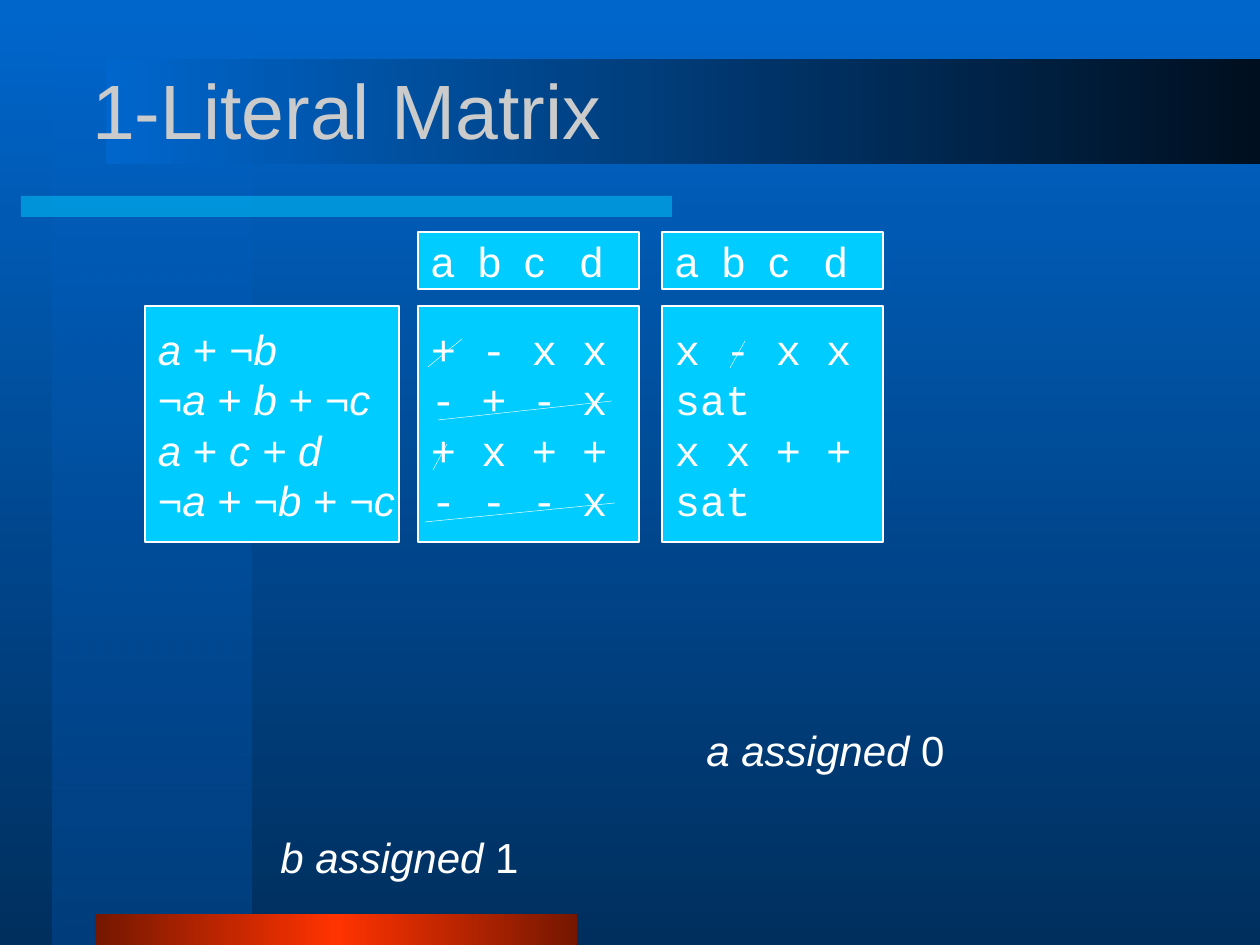
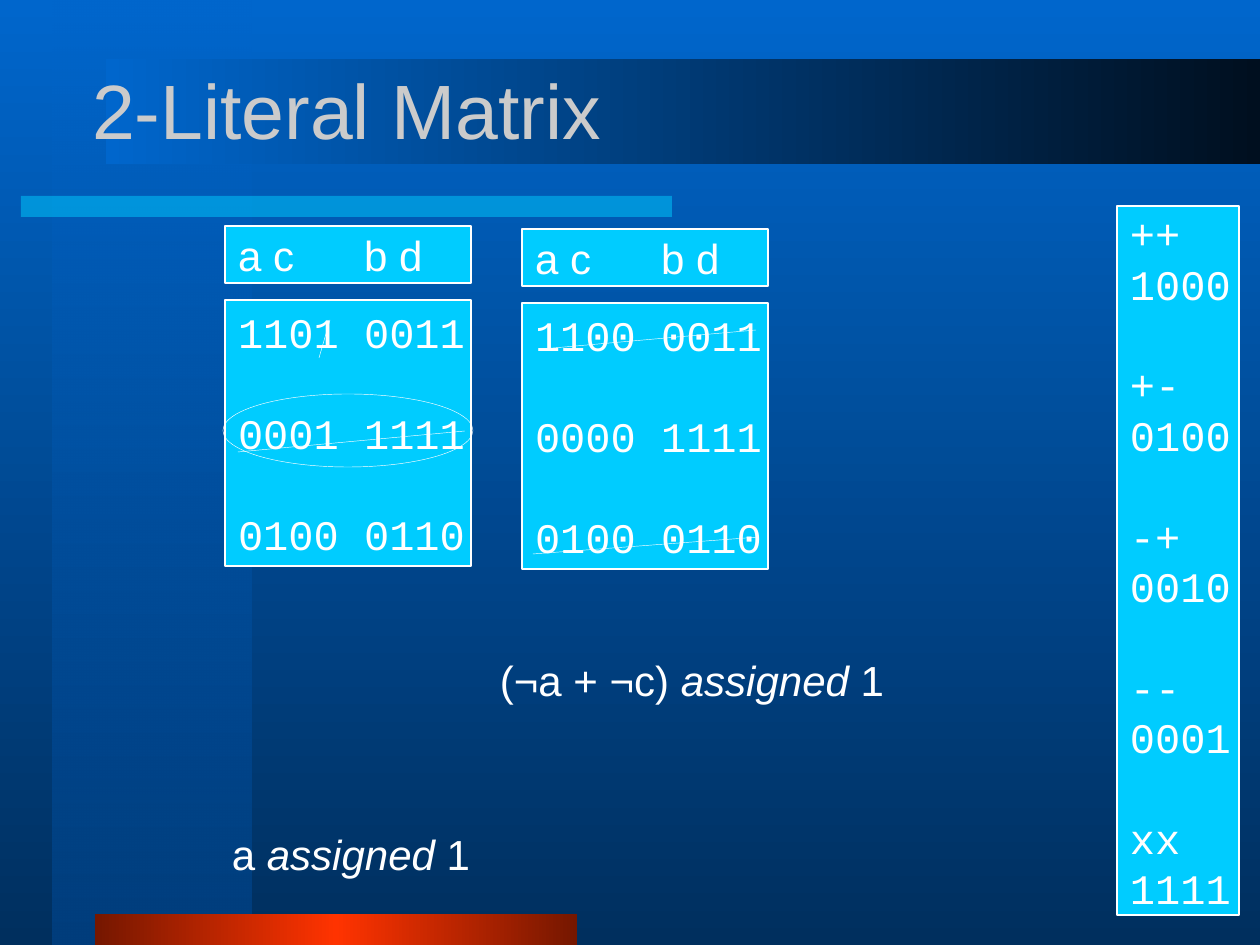
from lxml.etree import SubElement
from pptx import Presentation
from pptx.dml.color import RGBColor
from pptx.enum.shapes import MSO_CONNECTOR, MSO_SHAPE
from pptx.enum.text import MSO_ANCHOR, PP_ALIGN
from pptx.oxml.ns import qn
from pptx.util import Pt

SCALE = 914400 / 126
SANS, MONO = "Arial", "Courier New"
WHITE, CYAN, TITLE = "FFFFFF", "00CCFF", "CBCBCB"
LINE_PITCH = Pt(28.8)
HEAD_H, BODY_DROP = 57, 74

BACKGROUND = [(0, "0066CC", 100), (100, "002F5E", 100)]
BANDS = [
    ((53, 0, 199, 945), [(0, "0066CC", 50), (100, "003E7D", 100)], 90),
    ((21, 196, 651, 21), [(0, CYAN, 50), (100, CYAN, 50)], 0),
    ((95, 914, 482, 31), [(0, "751700", 100), (50, "FF3300", 100), (100, "751700", 100)], 180),
    ((106, 59, 1154, 105), [(0, "000F1F", 100), (100, "0066CC", 100)], 180),
]

ABCD, ABCD_TABS = ("a", "b", "c", "d"), (47, 93, 149)
PAIRS, PAIRS_TABS = ("a c", "b d"), (126,)

SLIDES = [
    {
        "title": "1-Literal Matrix",
        "matrices": [
            (418, 232, 221, 236, ABCD, ABCD_TABS, [("+ - x x", "- + - x", "+ x + +", "- - - x")]),
            (662, 232, 221, 236, ABCD, ABCD_TABS, [("x - x x", "sat", "x x + +", "sat")]),
        ],
        "lists": [
            ((145, 306, 254, 236), SANS,
             [("*a *+ ¬*b*", "¬*a *+ *b* + ¬*c*", "*a *+ *c + d*", "¬*a *+ ¬*b* + ¬*c*")]),
        ],
        "captions": [
            ((257, 832, 285, 50), "*b assigned *1"),
            ((683, 725, 285, 50), "*a assigned *0"),
        ],
        "strikes": [
            (428, 367, 462, 339), (438, 420, 612, 401), (433, 470, 447, 444),
            (425, 522, 615, 503), (730, 368, 745, 341),
        ],
        "rings": [],
    },
    {
        "title": "2-Literal Matrix",
        "matrices": [
            (225, 226, 246, 266, PAIRS, PAIRS_TABS, [("1101 0011",), ("0001 1111",), ("0100 0110",)]),
            (522, 229, 246, 266, PAIRS, PAIRS_TABS, [("1100 0011",), ("0000 1111",), ("0100 0110",)]),
        ],
        "lists": [
            ((1117, 206, 122, 709), MONO,
             [("++", "1000"), ("+-", "0100"), ("-+", "0010"), ("--", "0001"), ("xx", "1111")]),
        ],
        "captions": [
            ((478, 655, 428, 50), "(¬a + ¬c)* assigned *1"),
            ((137, 829, 428, 50), "a* assigned *1"),
        ],
        "strikes": [
            (238, 452, 465, 431), (319, 358, 330, 320), (542, 349, 756, 330), (533, 554, 759, 537),
        ],
        "rings": [(223, 394, 250, 73)],
    },
]


def px(n):
    return round(n * SCALE)


def box(values):
    return [px(v) for v in values]


def color(code):
    return RGBColor.from_string(code)


def set_gradient(fill, element, stops, angle):
    fill.gradient()
    grad = element.find(".//" + qn("a:gradFill"))
    stop_list = grad.find(qn("a:gsLst"))
    stop_list.clear()
    for position, code, alpha in stops:
        gs = SubElement(stop_list, qn("a:gs"), pos=str(position * 1000))
        clr = SubElement(gs, qn("a:srgbClr"), val=code)
        if alpha < 100:
            SubElement(clr, qn("a:alpha"), val=str(alpha * 1000))
    grad.find(qn("a:lin")).set("ang", str(angle * 60000))


def add_plain_shape(s, kind, place):
    sp = s.shapes.add_shape(kind, *box(place))
    sp.shadow.inherit = False
    return sp


def add_bands(master, s):
    set_gradient(master.background.fill, master._element, BACKGROUND, 90)
    for i, (place, stops, angle) in enumerate(BANDS):
        sp = add_plain_shape(s, MSO_SHAPE.RECTANGLE, place)
        set_gradient(sp.fill, sp._element, stops, angle)
        sp.line.fill.background()
        master.shapes._spTree.insert(2 + i, sp._element)


def set_insets(tf, left, top, right, bottom):
    tf.margin_left, tf.margin_top = px(left), px(top)
    tf.margin_right, tf.margin_bottom = px(right), px(bottom)
    tf.vertical_anchor = MSO_ANCHOR.MIDDLE
    tf.word_wrap = True


def style_run(r, font, size, code, italic=False):
    r.font.name, r.font.size, r.font.italic = font, Pt(size), italic
    r.font.color.rgb = color(code)


def write_line(p, text, font, align=PP_ALIGN.LEFT):
    p.alignment = align
    p.line_spacing = LINE_PITCH
    for i, part in enumerate(text.split("*")):
        if part:
            r = p.add_run()
            r.text = part
            style_run(r, font, 24, WHITE, i % 2 == 1)


def add_panel(s, place, groups, font, tabs=()):
    sp = add_plain_shape(s, MSO_SHAPE.RECTANGLE, place)
    sp.fill.solid()
    sp.fill.fore_color.rgb = color(CYAN)
    sp.line.color.rgb = color(WHITE)
    sp.line.width = Pt(0.75)
    tf = sp.text_frame
    set_insets(tf, 13, 0, 0, 0)
    p = tf.paragraphs[0]
    for g, group in enumerate(groups):
        for i, text in enumerate(group):
            if g or i:
                p = tf.add_paragraph()
            write_line(p, text, font)
            if g and not i:
                p.space_before = LINE_PITCH
    if tabs:
        tab_list = SubElement(p._p.get_or_add_pPr(), qn("a:tabLst"))
        for stop in tabs:
            SubElement(tab_list, qn("a:tab"), pos=str(px(stop)), algn="l")


def add_matrix(s, left, top, width, height, heads, tabs, groups):
    add_panel(s, (left, top + BODY_DROP, width, height), groups, MONO)
    add_panel(s, (left, top, width, HEAD_H), [("\t".join(heads),)], SANS, tabs)


def add_caption(s, place, text):
    tf = s.shapes.add_textbox(*box(place)).text_frame
    set_insets(tf, 0, 0, 0, 0)
    write_line(tf.paragraphs[0], text, SANS, PP_ALIGN.CENTER)


def thin_line(line):
    line.color.rgb = color(WHITE)
    line.width = Pt(0.25)


def add_strike(s, ends):
    c = s.shapes.add_connector(MSO_CONNECTOR.STRAIGHT, *box(ends))
    thin_line(c.line)
    SubElement(c._element.spPr, qn("a:effectLst"))


def add_ring(s, place):
    sp = add_plain_shape(s, MSO_SHAPE.OVAL, place)
    sp.fill.background()
    thin_line(sp.line)


def set_title(s, text):
    sp = s.shapes.title
    sp.left, sp.top, sp.width, sp.height = box((79, 30, 1103, 158))
    tf = sp.text_frame
    tf.text = text
    set_insets(tf, 13, 6, 13, 6)
    p = tf.paragraphs[0]
    p.alignment = PP_ALIGN.LEFT
    style_run(p.runs[0], SANS, 44, TITLE)


def main():
    prs = Presentation()
    prs.slide_width, prs.slide_height = px(1260), px(945)
    for i, content in enumerate(SLIDES):
        s = prs.slides.add_slide(prs.slide_layouts[5])
        if i == 0:
            add_bands(prs.slide_master, s)
        set_title(s, content["title"])
        for matrix in content["matrices"]:
            add_matrix(s, *matrix)
        for place, font, groups in content["lists"]:
            add_panel(s, place, groups, font)
        for place, text in content["captions"]:
            add_caption(s, place, text)
        for ends in content["strikes"]:
            add_strike(s, ends)
        for place in content["rings"]:
            add_ring(s, place)
    prs.save("out.pptx")


if __name__ == "__main__":
    main()
